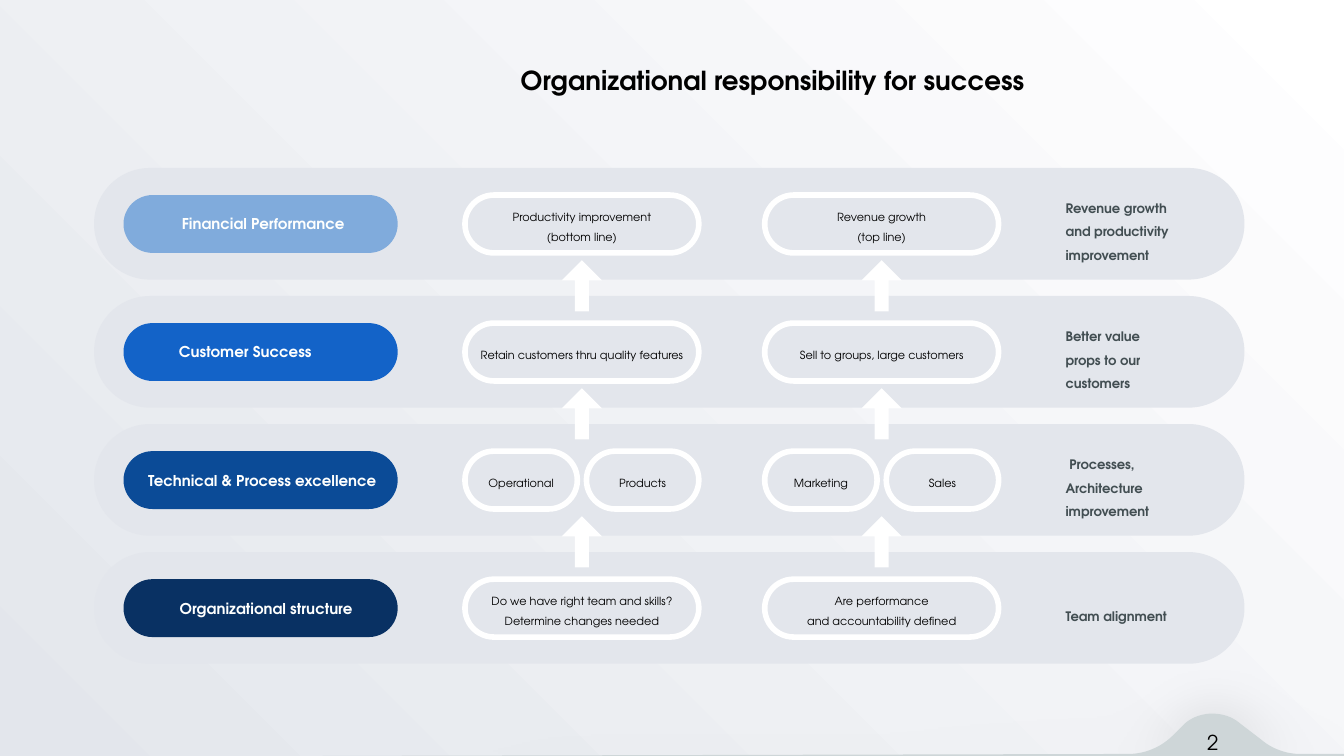
"""Build the slide on organizational responsibility for success."""
from dataclasses import dataclass

from lxml import etree
from pptx import Presentation
from pptx.dml.color import RGBColor
from pptx.enum.shapes import MSO_SHAPE
from pptx.enum.text import MSO_ANCHOR, MSO_AUTO_SIZE, PP_ALIGN
from pptx.oxml.ns import qn
from pptx.shapes.autoshape import Shape
from pptx.slide import Slide
from pptx.text.text import TextFrame
from pptx.util import Pt

PILL, UP_ARROW = MSO_SHAPE.ROUNDED_RECTANGLE, MSO_SHAPE.UP_ARROW
TOP, MIDDLE = MSO_ANCHOR.TOP, MSO_ANCHOR.MIDDLE
LEFT, CENTER = PP_ALIGN.LEFT, PP_ALIGN.CENTER
NO_AUTOFIT = MSO_AUTO_SIZE.NONE

Point = tuple[float, float]


@dataclass(frozen=True)
class TextStyle:
    """Look of one kind of text."""
    size: float
    color: str
    bold: bool = False
    align: PP_ALIGN = CENTER
    spacing: float = 1.0
    anchor: MSO_ANCHOR = TOP
    inset_x: float = 2.9
    inset_y: float = 1.4


@dataclass(frozen=True)
class Theme:
    """Colours and type of the slide."""
    font: str = "TeX Gyre Adventor"
    white: str = "FFFFFF"
    band: str = "E3E6EC"
    hill: str = "CED6D8"
    shadow: str = "000000"
    title: TextStyle = TextStyle(14, "000000", True)
    label: TextStyle = TextStyle(8, "FEFFFE", True)
    goal: TextStyle = TextStyle(6, "000000", spacing=1.48, anchor=MIDDLE, inset_x=1.4, inset_y=0.7)
    outcome: TextStyle = TextStyle(7, "424E52", True, LEFT, 1.52, MIDDLE, 1.4)
    number: TextStyle = TextStyle(11, "000000", spacing=1.18, inset_x=0, inset_y=0)


@dataclass(frozen=True)
class Frame:
    """Place and size in points."""
    left: float
    top: float
    width: float
    height: float

    def emu(self) -> tuple[Pt, Pt, Pt, Pt]:
        """Return the four lengths for python-pptx."""
        return Pt(self.left), Pt(self.top), Pt(self.width), Pt(self.height)


@dataclass(frozen=True)
class Level:
    """One band: its label, goals by column, and outcome."""
    label: str
    color: str
    label_left: float
    label_width: float
    goals: tuple[tuple[str, ...], tuple[str, ...]]
    outcome: str
    outcome_width: float
    outcome_indent: float = 0


THEME = Theme()
BAND_LEFT, BAND_TOP, BAND_WIDTH, BAND_HEIGHT, BAND_PITCH = 50.4, 90, 616.3, 59.8, 68.6
PILL_OFFSET, PILL_HEIGHT = 14.5, 31
COLUMN_LEFTS, COLUMN_WIDTH, GOAL_GAP = (249.1, 409.7), 125.3, 4.9
ARROW_OFFSET, ARROW_WIDTH, ARROW_HEIGHT = 49.4, 21.6, 27.4

LEVELS = (
    Level("Financial Performance", "80ABDC", 87.1, 108,
          (("Productivity improvement\n(bottom line)",), ("Revenue growth\n(top line)",)),
          "Revenue growth\nand productivity improvement", 82),
    Level("Customer Success", "1363C8", 85, 92.9,
          (("Retain customers thru quality features",), ("Sell to groups, large customers",)),
          "Better value props to our customers", 62.6),
    Level("Technical & Process excellence", "0B4B97", 74, 133.2,
          (("Operational", "Products"), ("Marketing", "Sales")),
          "Processes, Architecture improvement", 72, 2),
    Level("Organizational structure", "093163", 92.2, 100.8,
          (("Do we have right team and skills?\nDetermine changes needed",),
           ("Are performance\nand accountability defined",)),
          "Team alignment", 72),
)

HILL_START: Point = (634.3, 388.1)
HILL_SEGMENTS: tuple[tuple[Point, ...], ...] = (
    ((628.6, 393.8),),
    ((622.1, 400.3), (613.4, 403.9), (604.8, 403.9)),
    ((172.8, 405),), ((720, 405),), ((720, 403.9),), ((696.2, 403.9),),
    ((689, 403.9), (681.1, 401), (675.4, 396)),
    ((663.1, 386.6),),
    ((659.5, 383.8), (654.5, 382.3), (649.4, 382.3)),
    ((643.7, 382.3), (637.9, 384.5), HILL_START),
)


def write(frame: TextFrame, text: str, style: TextStyle, indent: float = 0) -> None:
    """Fill a text frame with one run per line."""
    frame.auto_size, frame.word_wrap = NO_AUTOFIT, True
    frame.vertical_anchor = style.anchor
    frame.margin_left = frame.margin_right = Pt(style.inset_x)
    frame.margin_top = frame.margin_bottom = Pt(style.inset_y)
    for index, line in enumerate(text.split("\n")):
        paragraph = frame.add_paragraph() if index else frame.paragraphs[0]
        paragraph.alignment, paragraph.line_spacing = style.align, style.spacing
        if indent:
            paragraph._p.get_or_add_pPr().set("indent", str(Pt(indent)))
        run = paragraph.add_run()
        run.text = line
        run.font.name, run.font.size, run.font.bold = THEME.font, Pt(style.size), style.bold
        run.font.color.rgb = RGBColor.from_string(style.color)


def add_text(slide: Slide, place: Frame, text: str, style: TextStyle, indent: float = 0) -> None:
    """Add a text box."""
    write(slide.shapes.add_textbox(*place.emu()).text_frame, text, style, indent)


def paint(shape: Shape, color: str) -> None:
    """Give a shape a plain fill without line or shadow."""
    shape.shadow.inherit = False
    shape.fill.solid()
    shape.fill.fore_color.rgb = RGBColor.from_string(color)
    shape.line.fill.background()


def add_pill(slide: Slide, place: Frame, color: str) -> None:
    """Add a filled shape with fully rounded ends."""
    pill = slide.shapes.add_shape(PILL, *place.emu())
    pill.adjustments[0] = 0.5
    paint(pill, color)


def add_goal(slide: Slide, place: Frame, text: str) -> None:
    """Add an outlined pill holding a goal."""
    goal = slide.shapes.add_shape(PILL, *place.emu())
    goal.adjustments[0] = 0.5
    goal.shadow.inherit = False
    goal.fill.background()
    goal.line.color.rgb = RGBColor.from_string(THEME.white)
    goal.line.width = Pt(3)
    write(goal.text_frame, text, THEME.goal)


def add_arrow(slide: Slide, place: Frame) -> None:
    """Add an upward arrow between two levels."""
    arrow = slide.shapes.add_shape(UP_ARROW, *place.emu())
    arrow.adjustments[0], arrow.adjustments[1] = 0.35, 0.5
    paint(arrow, THEME.white)


def add_level(slide: Slide, level: Level, top: float, has_arrows: bool) -> None:
    """Draw one band with its label, goals, arrows and outcome."""
    pill_top = top + PILL_OFFSET
    add_pill(slide, Frame(BAND_LEFT, top, BAND_WIDTH, BAND_HEIGHT), THEME.band)
    add_pill(slide, Frame(66.2, pill_top, 146.9, PILL_HEIGHT), level.color)
    add_text(slide, Frame(level.label_left, top + 23.8, level.label_width, 12), level.label, THEME.label)
    for column_left, goals in zip(COLUMN_LEFTS, level.goals):
        width = (COLUMN_WIDTH - GOAL_GAP * (len(goals) - 1)) / len(goals)
        for index, goal in enumerate(goals):
            left = column_left + index * (width + GOAL_GAP)
            add_goal(slide, Frame(left, pill_top, width, PILL_HEIGHT), goal)
    add_text(slide, Frame(569.5, top + 15, level.outcome_width, 34), level.outcome,
             THEME.outcome, level.outcome_indent)


def add_arrows(slide: Slide, top: float) -> None:
    """Draw the arrows that rise into the band at the given top."""
    for column_left in COLUMN_LEFTS:
        left = column_left + (COLUMN_WIDTH - ARROW_WIDTH) / 2
        add_arrow(slide, Frame(left, top + ARROW_OFFSET, ARROW_WIDTH, ARROW_HEIGHT))


def curve(start: Point, controls: tuple[Point, ...], steps: int = 12) -> list[Point]:
    """Return points along a cubic curve."""
    points = []
    for step in range(1, steps + 1):
        t = step / steps
        weights = ((1 - t) ** 3, 3 * t * (1 - t) ** 2, 3 * t * t * (1 - t), t ** 3)
        points.append(tuple(sum(w * p[axis] for w, p in zip(weights, (start, *controls)))
                            for axis in (0, 1)))
    return points


def add_hill(slide: Slide) -> None:
    """Draw the footer hill and its soft shadow."""
    outline = [HILL_START]
    for segment in HILL_SEGMENTS:
        outline += curve(outline[-1], segment) if len(segment) == 3 else segment
    corners = [(Pt(x), Pt(y)) for x, y in outline]
    builder = slide.shapes.build_freeform(*corners[0])
    builder.add_line_segments(corners[1:], close=True)
    hill = builder.convert_to_shape()
    paint(hill, THEME.hill)
    effects = hill.element.spPr.find(qn("a:effectLst"))
    shadow = etree.SubElement(effects, qn("a:outerShdw"), blurRad=str(Pt(27)), dist=str(Pt(3)),
                              dir="16200000", rotWithShape="0")
    color = etree.SubElement(shadow, qn("a:srgbClr"), val=THEME.shadow)
    etree.SubElement(color, qn("a:alpha"), val="9000")


def set_background(slide: Slide) -> None:
    """Shade the background outwards from the top right corner."""
    fill = slide.background.fill
    fill.gradient()
    for stop, color, position in zip(fill.gradient_stops, (THEME.white, THEME.band), (0, 1)):
        stop.color.rgb, stop.position = RGBColor.from_string(color), position
    gradient = slide.element.find(".//" + qn("a:gradFill"))
    gradient.remove(gradient.find(qn("a:lin")))
    radial = etree.SubElement(gradient, qn("a:path"), path="circle")
    etree.SubElement(radial, qn("a:fillToRect"), l="100000", b="100000")


def main() -> None:
    """Build and save the slide."""
    deck = Presentation()
    deck.slide_width, deck.slide_height = Pt(720), Pt(405)
    slide = deck.slides.add_slide(deck.slide_layouts[5])
    set_background(slide)
    title = slide.shapes.title
    title.left, title.top, title.width, title.height = Frame(230.4, 33.1, 367.2, 20.2).emu()
    write(title.text_frame, "Organizational responsibility for success", THEME.title)
    tops = [BAND_TOP + index * BAND_PITCH for index in range(len(LEVELS))]
    for level, top in zip(LEVELS, tops):
        add_level(slide, level, top, top != tops[-1])
    for top in tops[:-1]:
        add_arrows(slide, top)
    add_hill(slide)
    add_text(slide, Frame(641.5, 388.8, 16.6, 13), "2", THEME.number)
    deck.save("out.pptx")


if __name__ == "__main__":
    main()
